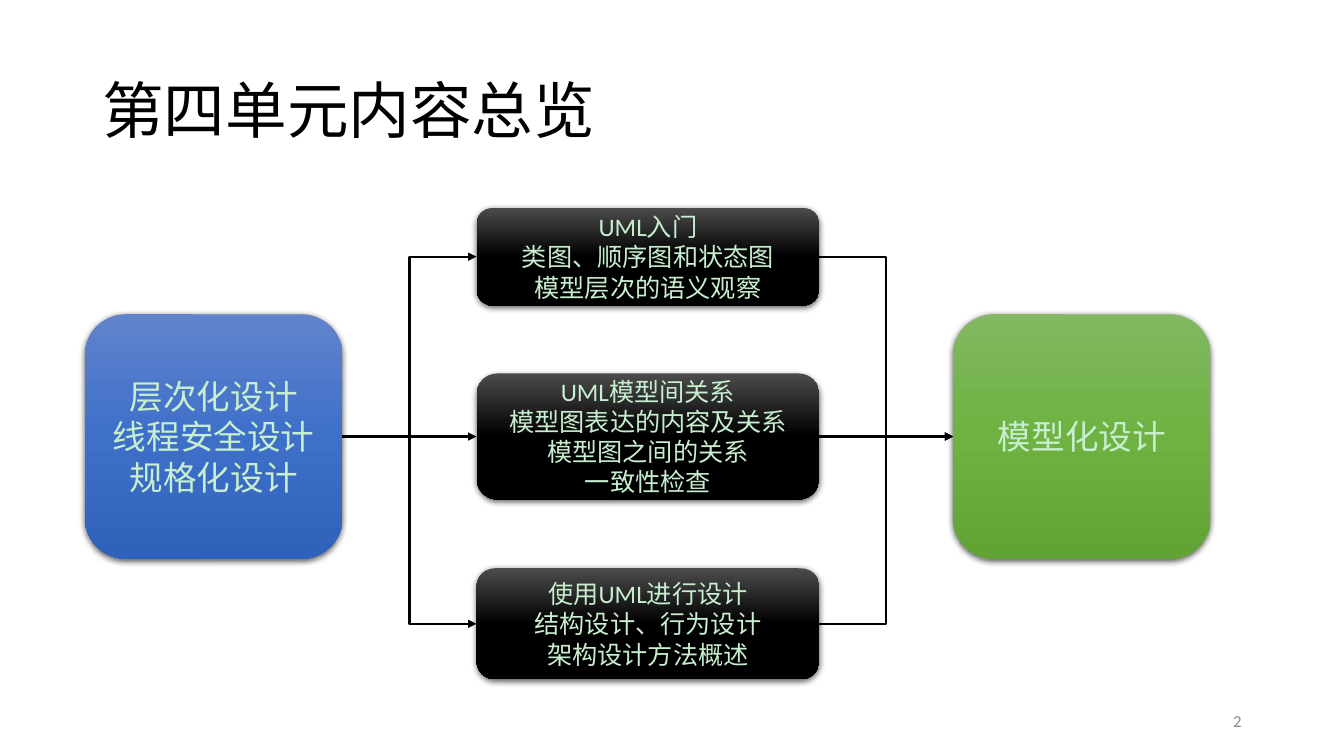
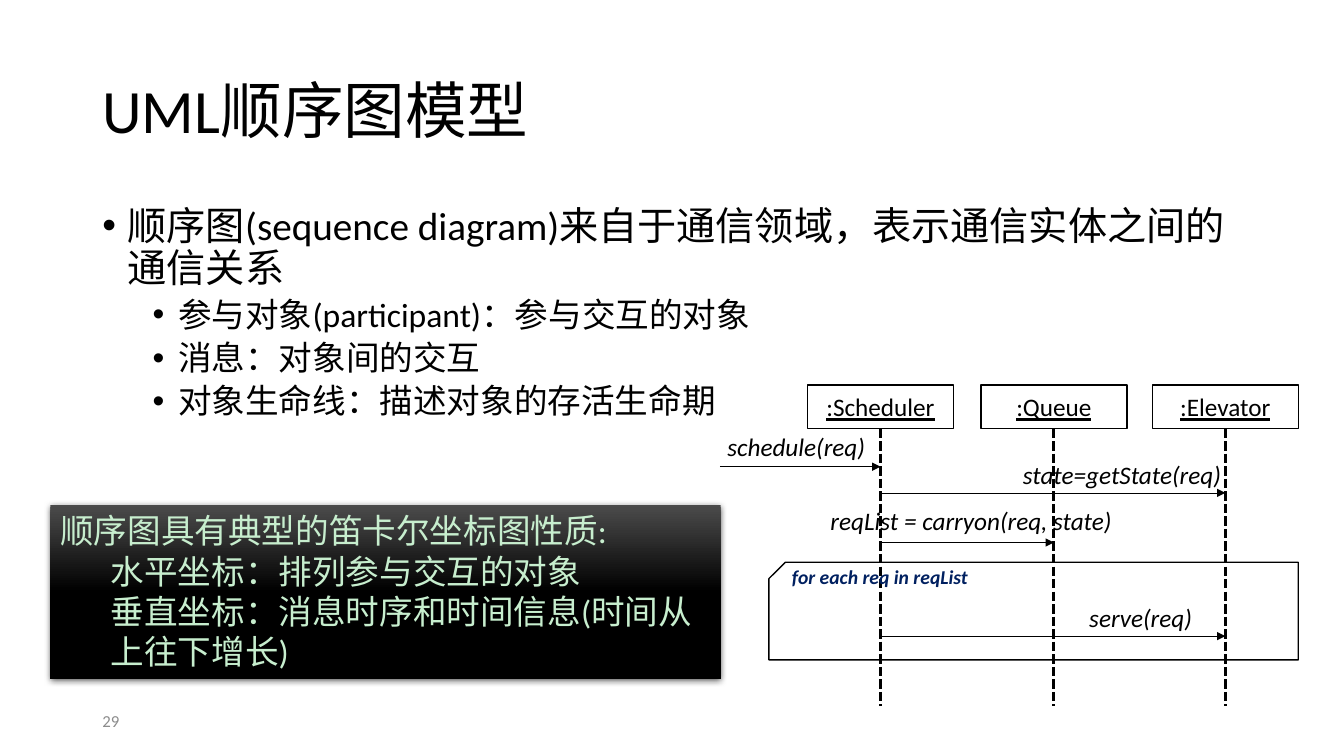
from copy import deepcopy

from lxml import etree
from pptx import Presentation
from pptx import util as u
from pptx.dml import color as c
from pptx.enum import dml, shapes, text
from pptx.oxml import ns

HUES = {
    "ink": "000000", "paper": "FFFFFF", "mint": "C7EECE",
    "gray": "8C8C8C", "navy": "002060",
}
FADES = {
    "dark": ("4B4B4B", "000000", "000000"),
    "blue": ("6183CB", "3E70CA", "3062BB"),
    "green": ("81B861", "6FB242", "62A336"),
}
FONT = "Calibri"
KIND = shapes.MSO_SHAPE
ALIGN = text.PP_ALIGN
MID = text.MSO_ANCHOR.MIDDLE
TOP, LEFT, FOOT, RIGHT = range(4)


def rgb(name):
    return c.RGBColor.from_string(HUES.get(name, name))


def put(item, values):
    for key, value in values.items():
        setattr(item, key, value)


def sub(node, tag, **values):
    return etree.SubElement(node, ns.qn(tag), values)


class Deck:
    def __init__(self):
        self.file = Presentation()
        put(self.file, {"slide_width": u.Cm(33.87), "slide_height": u.Cm(19.05)})
        self.page = None

    def start(self, title, number, left, align):
        self.page = self.file.slides.add_slide(self.file.slide_layouts[6])
        self.label((2.33, 1.02, 29.21, 3.68), [title], size=44,
                   para={"line_spacing": 0.9}, frame={"vertical_anchor": MID})
        self.label((left, 17.66, 7.62, 1.01), [number], size=12, hue="gray",
                   para={"alignment": align}, frame={"vertical_anchor": MID})

    def letter(self, shape, lines, size=18, hue="ink", font=None, para=None, frame=None):
        body = shape.text_frame
        put(body, {"word_wrap": True, **(frame or {})})
        for i, line in enumerate(lines):
            words, extra = line if isinstance(line, tuple) else (line, {})
            extra = {**(para or {}), **extra}
            inset = extra.pop("inset", None)
            dot = extra.pop("dot", False)
            part = body.add_paragraph() if i else body.paragraphs[0]
            run = part.add_run()
            run.text = words
            put(run.font, {"name": FONT, "size": u.Pt(extra.pop("size", size)),
                           **(font or {})})
            run.font.color.rgb = rgb(hue)
            put(part, extra)
            if inset is not None:
                props = part._p.get_or_add_pPr()
                props.set("marL", str(u.Cm(inset)))
                props.set("indent", str(u.Cm(-0.64 if dot else 0)))
                if dot:
                    sub(props, "a:buFont", typeface="Arial")
                    sub(props, "a:buChar", char="•")

    def label(self, box, lines, **style):
        shape = self.page.shapes.add_textbox(*map(u.Cm, box))
        self.letter(shape, lines, **style)

    def tag(self, box, words, **style):
        self.label(box, [words], frame={
            "word_wrap": False, "auto_size": text.MSO_AUTO_SIZE.SHAPE_TO_FIT_TEXT}, **style)

    def shape(self, kind, box):
        shape = self.page.shapes.add_shape(kind, *map(u.Cm, box))
        shape.shadow.inherit = False
        return shape

    def block(self, kind, box, fade, lines, **style):
        shape = self.shape(kind, box)
        shape.line.fill.background()
        shape.fill.gradient()
        shape.fill.gradient_angle = 270
        props = shape._element.spPr
        stops = props.find(".//" + ns.qn("a:gsLst"))
        stops.append(deepcopy(stops[0]))
        for i, stop in enumerate(shape.fill.gradient_stops):
            stop.color.rgb = rgb(FADES[fade][i])
            stop.position = i / 2
        glow = sub(props.find(ns.qn("a:effectLst")), "a:outerShdw", blurRad="57150",
                   dist="19050", dir="5400000", algn="ctr", rotWithShape="0")
        sub(sub(glow, "a:srgbClr", val=HUES["ink"]), "a:alpha", val="63000")
        self.letter(shape, lines, hue="mint", **style)
        return shape

    def frame(self, kind, box, fill=None):
        shape = self.shape(kind, box)
        if fill:
            shape.fill.solid()
            shape.fill.fore_color.rgb = rgb(fill)
        else:
            shape.fill.background()
        shape.line.color.rgb = rgb("ink")
        shape.line.width = u.Pt(1)
        return shape

    def line(self, ends, width, bent=False, arrow=True, dash=None, start=None, stop=None):
        kind = shapes.MSO_CONNECTOR.ELBOW if bent else shapes.MSO_CONNECTOR.STRAIGHT
        wire = self.page.shapes.add_connector(kind, *map(u.Cm, ends))
        if start:
            wire.begin_connect(*start)
        if stop:
            wire.end_connect(*stop)
        wire.line.color.rgb = rgb("ink")
        put(wire.line, {"width": u.Pt(width), "dash_style": dash})
        props = wire._element.spPr
        if arrow:
            sub(props.find(ns.qn("a:ln")), "a:tailEnd", type="triangle")
        sub(props, "a:effectLst")


def units(deck):
    deck.start("第四单元内容总览", "2", 23.92, ALIGN.RIGHT)
    style = {"para": {"alignment": ALIGN.CENTER}, "frame": {"vertical_anchor": MID}}
    axis, left, wide = 11, 12.01, 8.64
    topics = [
        (6.47, 2.46, ["UML入门", "类图、顺序图和状态图", "模型层次的语义观察"]),
        (axis, 3.18, ["UML模型间关系", "模型图表达的内容及关系", "模型图之间的关系", "一致性检查"]),
        (15.72, 2.8, ["使用UML进行设计", "结构设计、行为设计", "架构设计方法概述"]),
    ]
    cards = [deck.block(KIND.ROUNDED_RECTANGLE, (left, y - high / 2, wide, high),
                        "dark", lines, **style) for y, high, lines in topics]
    sides = [
        (2.14, "blue", ["层次化设计", "线程安全设计", "规格化设计"]),
        (24.02, "green", ["模型化设计"]),
    ]
    past, goal = [deck.block(KIND.ROUNDED_RECTANGLE, (x, axis - 3.08, 6.49, 6.16),
                             fade, lines, size=24, **style) for x, fade, lines in sides]
    for (y, _, _), card in zip(topics, cards):
        bent = y != axis
        deck.line((8.63, axis, left, y), 1.5, bent, start=(past, RIGHT), stop=(card, LEFT))
        deck.line((left + wide, y, 24.02, axis), 1.5, bent,
                  start=(card, RIGHT), stop=(goal, LEFT))


def flow(deck):
    deck.start("UML顺序图模型", "29", 2.33, ALIGN.LEFT)
    point = {"level": 1, "inset": 1.91, "space_before": u.Pt(5), "size": 24}
    deck.label((2.33, 5.08, 29.21, 8.99), [
        "顺序图(sequence diagram)来自于通信领域，表示通信实体之间的通信关系",
        ("参与对象(participant)：参与交互的对象", point),
        ("消息：对象间的交互", point),
        ("对象生命线：描述对象的存活生命期", point),
    ], size=28, para={"line_spacing": 0.9, "space_before": u.Pt(10), "inset": 0.64, "dot": True})
    inner = {"level": 1, "inset": 1.27}
    deck.block(KIND.RECTANGLE, (1.27, 12.73, 16.89, 4.37), "dark", [
        "顺序图具有典型的笛卡尔坐标图性质:",
        ("水平坐标：排列参与交互的对象", inner),
        ("垂直坐标：消息时序和时间信息(时间从上往下增长)", inner),
    ], size=24, para={"alignment": ALIGN.LEFT}, frame={
        "vertical_anchor": text.MSO_ANCHOR.TOP,
        "auto_size": text.MSO_AUTO_SIZE.SHAPE_TO_FIT_TEXT})

    lanes = {":Scheduler": 22.19, ":Queue": 26.56, ":Elevator": 30.88}
    first, queue, last = lanes.values()
    wide, top, high = 3.68, 9.7, 1.1
    for name, x in lanes.items():
        head = deck.frame(KIND.RECTANGLE, (x - wide / 2, top, wide, high), "paper")
        deck.letter(head, [name], font={"underline": True},
                    para={"alignment": ALIGN.CENTER}, frame={"vertical_anchor": MID})
        deck.line((x, top + high, x, 17.78), 2.25, arrow=False,
                  dash=dml.MSO_LINE.SQUARE_DOT, start=(head, FOOT))

    box = deck.frame(KIND.SNIP_1_RECTANGLE, (19.38, 14.17, 13.34, 2.46))
    box._element.spPr.find(ns.qn("a:xfrm")).set("flipH", "1")
    deck.tag((19.71, 14.12, 5.03, 0.86), "for each req in reqList", size=14,
             hue="navy", font={"bold": True, "italic": True})
    calls = [
        (18.14, first, 11.76, "schedule(req)", (18.08, 10.74, 4.11, 1.02)),
        (first, last, 12.42, "state=getState(req)", (25.53, 11.46, 5.72, 1.02)),
        (first, queue, 13.67, "reqList = carryon(req, state)", (20.68, 12.62, 7.67, 1.02)),
        (first, last, 16.03, "serve(req)", (27.2, 15.06, 3.18, 1.02)),
    ]
    for start, stop, y, words, place in calls:
        deck.line((start, y, stop, y), 0.5)
        deck.tag(place, words, font={"italic": True})


def main():
    deck = Deck()
    units(deck)
    flow(deck)
    deck.file.save("out.pptx")


if __name__ == "__main__":
    main()
